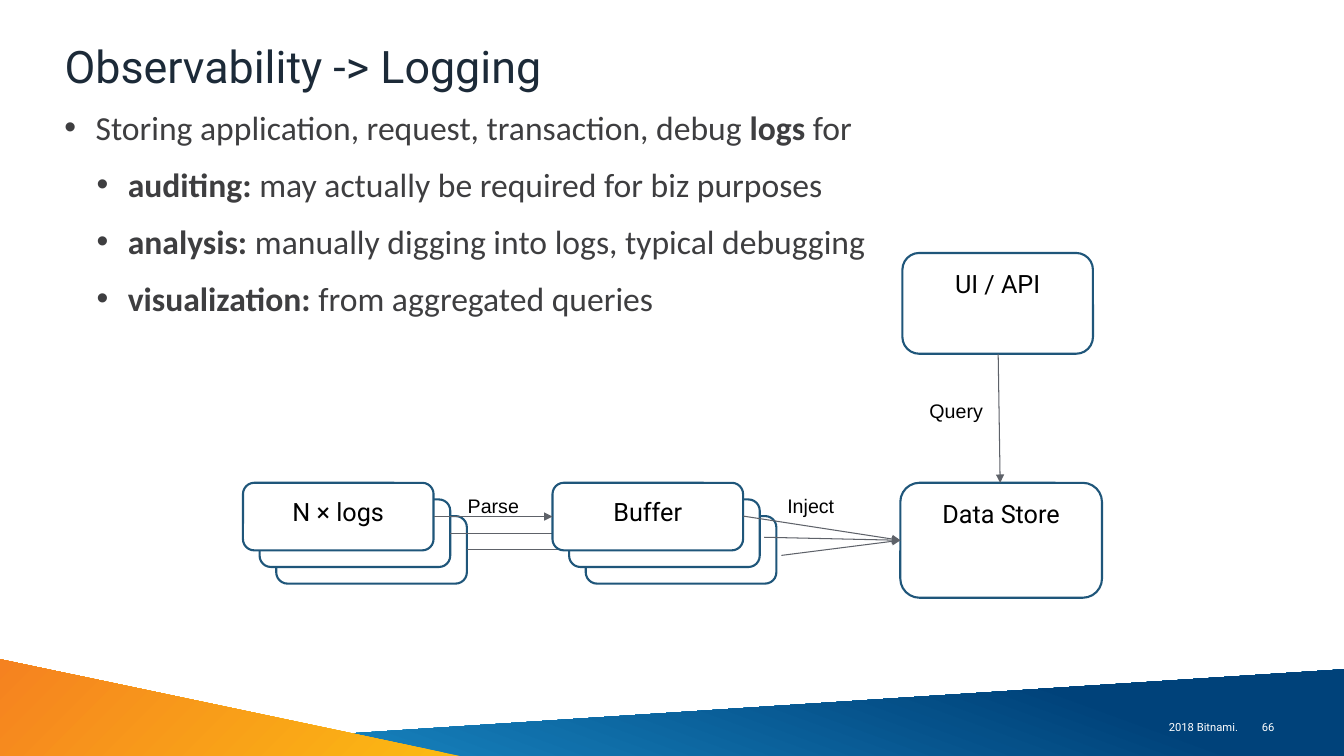
from lxml.etree import SubElement
from pptx import Presentation
from pptx.dml.color import RGBColor
from pptx.enum.shapes import MSO_CONNECTOR as CONN, MSO_SHAPE as SHAPE
from pptx.enum.text import MSO_ANCHOR as ANCHOR, MSO_AUTO_SIZE as AUTO, PP_ALIGN as ALIGN
from pptx.oxml.ns import qn
from pptx.util import Inches, Pt

WHITE = RGBColor(0xFF, 0xFF, 0xFF)
BLACK = RGBColor(0x00, 0x00, 0x00)
NAVY = RGBColor(0x1C, 0x2A, 0x38)
CHARCOAL = RGBColor(0x3E, 0x3E, 0x40)
OUTLINE = RGBColor(0x1F, 0x56, 0x7A)
GRAY = RGBColor(0x5E, 0x62, 0x69)
SKY = RGBColor(0x1F, 0x9B, 0xD8)
DEEP_BLUE = RGBColor(0x00, 0x42, 0x7A)
YELLOW = RGBColor(0xFC, 0xBA, 0x12)
ORANGE = RGBColor(0xF5, 0x82, 0x20)

TITLE = {"name": "Roboto", "size": Pt(32), "color": NAVY}
BODY = {"name": "Calibri", "size": Pt(24), "color": CHARCOAL}
FOOTER = {"name": "Roboto", "size": Pt(8), "color": WHITE}
NODE = {"name": "Roboto", "size": Pt(18), "color": BLACK}
LABEL = {"name": "Arial", "size": Pt(14), "color": BLACK}

BULLETS = [
    (0, [("Storing application, request, transaction, debug ", False),
         ("logs", True), (" for", False)]),
    (1, [("auditing: ", True), ("may actually be required for biz purposes", False)]),
    (1, [("analysis: ", True), ("manually digging into logs, typical debugging", False)]),
    (1, [("visualization: ", True), ("from aggregated queries", False)]),
]
INDENTS = [(0.31, -0.37), (0.63, -0.31)]
STACK_STEP = 0.165
BOX_W, BOX_H = 1.89, 0.67
LOGS_X, BUFFER_X, STACK_Y = 2.41, 5.48, 4.79
STORE_X, STORE_MID = 8.93, 5.36


def set_attrs(obj, values):
    """Set each named value as an attribute."""
    for name, value in values.items():
        setattr(obj, name, value)


def add_run(p, text, fmt, bold=False):
    """Append a formatted run."""
    r = p.add_run()
    r.text = text
    for name, value in fmt.items():
        if name == "color":
            r.font.color.rgb = value
        else:
            setattr(r.font, name, value)
    r.font.bold = bold


def set_frame(sp, anchor=ANCHOR.TOP, margin=0.05):
    """Prepare a text frame and return it."""
    tf = sp.text_frame
    set_attrs(tf, {"word_wrap": True, "auto_size": AUTO.NONE, "vertical_anchor": anchor,
                   "margin_left": Inches(0.1), "margin_right": Inches(0.1),
                   "margin_top": Inches(margin), "margin_bottom": Inches(margin)})
    return tf


def add_band(s, points, start, end, end_pos, angle):
    """Draw a triangle with a two-colour gradient."""
    corners = [(Inches(x), Inches(y)) for x, y in points]
    builder = s.shapes.build_freeform(*corners[0])
    builder.add_line_segments(corners[1:])
    sp = builder.convert_to_shape()
    sp.shadow.inherit = False
    sp.line.fill.background()
    sp.fill.gradient()
    sp.fill.gradient_angle = angle
    for stop, color, pos in zip(sp.fill.gradient_stops, (start, end), (0, end_pos)):
        stop.color.rgb = color
        stop.position = pos


def add_title(s, text):
    """Place and format the slide title."""
    sp = s.shapes.title
    set_attrs(sp, {"left": Inches(0.54), "top": Inches(0.35),
                   "width": Inches(12.2), "height": Inches(0.67)})
    p = set_frame(sp, ANCHOR.MIDDLE).paragraphs[0]
    set_attrs(p, {"alignment": ALIGN.LEFT, "line_spacing": 0.9})
    add_run(p, text, TITLE)


def add_bullets(s):
    """Add the bulleted text."""
    sp = s.shapes.add_textbox(Inches(0.54), Inches(1.01), Inches(12.3), Inches(5.15))
    tf = set_frame(sp)
    for i, (level, runs) in enumerate(BULLETS):
        p = tf.add_paragraph() if i else tf.paragraphs[0]
        p.level = level
        p.space_before = Pt(12 if i else 0)
        left, hanging = INDENTS[level]
        pPr = p._p.get_or_add_pPr()
        pPr.set("marL", str(Inches(left)))
        pPr.set("indent", str(Inches(hanging)))
        SubElement(pPr, qn("a:buFont"), typeface="Arial")
        SubElement(pPr, qn("a:buChar"), char="•")
        for text, bold in runs:
            add_run(p, text, BODY, bold)


def add_text(s, text, box, fmt, align=ALIGN.LEFT, anchor=ANCHOR.TOP, margin=0.1):
    """Add a one-line text box."""
    sp = s.shapes.add_textbox(*map(Inches, box))
    p = set_frame(sp, anchor, margin).paragraphs[0]
    p.alignment = align
    add_run(p, text, fmt)


def add_node(s, box, text=""):
    """Add a rounded box with an optional caption."""
    sp = s.shapes.add_shape(SHAPE.ROUNDED_RECTANGLE, *map(Inches, box))
    sp.shadow.inherit = False
    sp.fill.solid()
    sp.fill.fore_color.rgb = WHITE
    sp.line.color.rgb = OUTLINE
    sp.line.width = Pt(1.5)
    if text:
        p = set_frame(sp, margin=0.1).paragraphs[0]
        p.alignment = ALIGN.CENTER
        add_run(p, text, NODE)


def add_arrow(s, start, end):
    """Add a thin arrow between two points."""
    cx = s.shapes.add_connector(CONN.STRAIGHT, *map(Inches, start + end))
    cx.line.color.rgb = GRAY
    cx.line.width = Pt(0.75)
    SubElement(cx.line._get_or_add_ln(), qn("a:tailEnd"), type="triangle")
    SubElement(cx._element.spPr, qn("a:effectLst"))


def add_stacks(s):
    """Add the stacked log and buffer boxes, back to front."""
    for depth in (2, 1, 0):
        shift = depth * STACK_STEP
        top = STACK_Y + shift
        mid = top + BOX_H / 2
        logs, buffer = LOGS_X + shift, BUFFER_X + shift
        add_node(s, (logs, top, BOX_W, BOX_H), "" if depth else "N × logs")
        add_node(s, (buffer, top, BOX_W, BOX_H), "" if depth else "Buffer")
        add_arrow(s, (logs + BOX_W, mid), (buffer, mid))


def main():
    """Build and save the slide."""
    prs = Presentation()
    set_attrs(prs, {"slide_width": Inches(13.33), "slide_height": Inches(7.5)})
    s = prs.slides.add_slide(prs.slide_layouts[5])
    add_band(s, [(13.33, 6.64), (0, 7.5), (13.33, 7.5)], SKY, DEEP_BLUE, 0.79, 70)
    add_band(s, [(0, 6.54), (0, 7.5), (4.56, 7.5)], YELLOW, ORANGE, 1, 135)
    add_title(s, "Observability -> Logging")
    add_bullets(s)
    for text, left, width in [("2018 Bitnami.", 7.88, 4.5), ("66", 12.38, 0.36)]:
        add_text(s, text, (left, 7.01, width, 0.4), FOOTER, ALIGN.RIGHT, ANCHOR.MIDDLE, 0.05)
    add_stacks(s)
    add_node(s, (STORE_X, STACK_Y, 2, 1.14), "Data Store")
    add_node(s, (8.95, 2.51, BOX_W, 1), "UI / API")
    for start in [(7.37, 5.12), (7.58, 5.33), (7.75, 5.51)]:
        add_arrow(s, start, (STORE_X, STORE_MID))
    add_arrow(s, (9.9, 3.51), (9.92, STACK_Y))
    for text, left, top, width in [("Parse", 4.54, 4.8, 0.72), ("Inject", 7.71, 4.8, 0.72),
                                   ("Query", 9.12, 3.86, 0.85)]:
        add_text(s, text, (left, top, width, 0.4), LABEL)
    prs.save("out.pptx")


if __name__ == "__main__":
    main()
